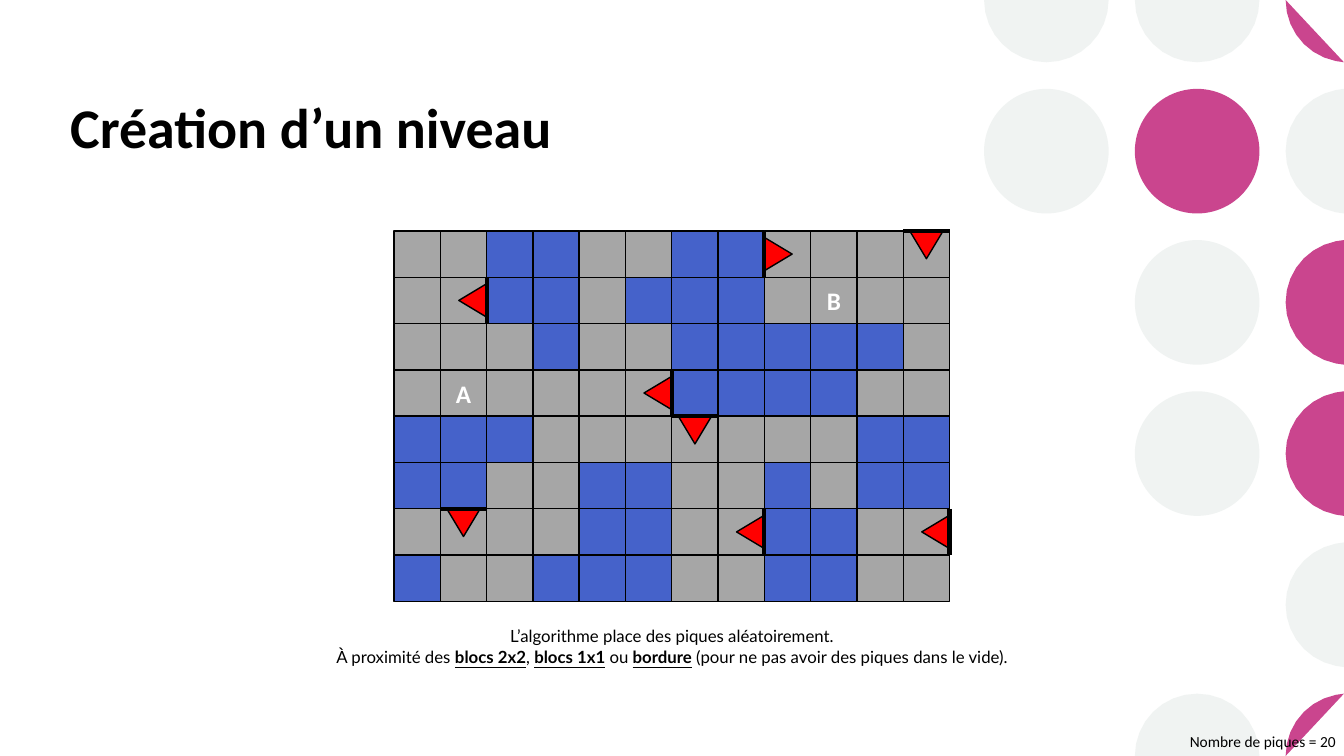
"""Builds the "Création d'un niveau" slide: a level grid with spikes."""
from dataclasses import dataclass
from math import cos, pi, sin

from lxml.etree import SubElement
from pptx import Presentation
from pptx.dml.color import RGBColor as RGB
from pptx.enum.shapes import MSO_CONNECTOR as LINE, MSO_SHAPE as SHAPE
from pptx.enum.text import MSO_ANCHOR as ANCHOR, PP_ALIGN as ALIGN
from pptx.oxml.ns import qn
from pptx.util import Cm, Pt

TITLE = [[("Création d’un niveau", True, False)]]
CAPTION = [
    [("L’algorithme place des piques aléatoirement.", False, False)],
    [
        ("À proximité des ", False, False),
        ("blocs 2x2", True, True),
        (", ", False, False),
        ("blocs 1x1", True, True),
        (" ", True, False),
        ("ou ", False, False),
        ("bordure", True, True),
        (" (pour ne pas avoir des piques dans le vide).", False, False),
    ],
]
COUNT = [[("Nombre de piques = 20", False, False)]]

LEVEL = [
    "..##..##....",
    "..##.###.B..",
    "...#..#####.",
    ".A....####..",
    "###.......##",
    "##..##..#.##",
    "....##..##..",
    "#..###..##..",
]
SPIKES = [
    (1, 1, "right"),
    (0, 8, "left"),
    (0, 11, "top"),
    (6, 1, "top"),
    (3, 5, "right"),
    (4, 6, "top"),
    (6, 7, "right"),
    (6, 11, "right"),
]
DOTS = ["ggp", "gpg", ".gp", ".gp", "..g", ".gp"]


@dataclass(frozen=True)
class Theme:
    """Colours, fonts and sizes of the slide."""
    black: RGB = RGB(0, 0, 0)
    white: RGB = RGB(255, 255, 255)
    free: RGB = RGB(0xA6, 0xA6, 0xA6)
    block: RGB = RGB(0x45, 0x62, 0xCA)
    spike: RGB = RGB(255, 0, 0)
    pale: RGB = RGB(0xF0, 0xF3, 0xF2)
    pink: RGB = RGB(0xCA, 0x45, 0x8E)
    font: str = "Calibri"
    caption_font: str = "Lato"
    title_size: int = 40
    label_size: int = 18
    caption_size: int = 12
    count_size: int = 11
    thin: int = 1
    thick: int = 3


T = Theme()
WIDTH, HEIGHT = 33.87, 19.05
GRID_LEFT, GRID_TOP, CELL = 9.93, 5.82, 14 / 12
SPIKE_BASE, SPIKE_DEPTH = 0.84, 0.7
DOT_X, DOT_STEP_X, DOT_STEP_Y, DOT_RADIUS = 26.37, 3.8, 3.81, 1.57
ARC_STEPS = 32
SIDES = {"top": (0, -1, 180), "left": (-1, 0, 90), "right": (1, 0, 270)}


def paint(sp, fill, line=None):
    sp.shadow.inherit = False
    sp.fill.solid()
    sp.fill.fore_color.rgb = fill
    if line is None:
        sp.line.fill.background()
    else:
        sp.line.color.rgb = line
        sp.line.width = Pt(T.thin)


def add_preset(s, kind, x, y, w, h, fill, line=None):
    sp = s.shapes.add_shape(kind, Cm(x), Cm(y), Cm(w), Cm(h))
    paint(sp, fill, line)
    return sp


def write(p, runs, font, size, color):
    for text, bold, underline in runs:
        r = p.add_run()
        r.text = text
        r.font.name, r.font.size, r.font.color.rgb = font, Pt(size), color
        r.font.bold, r.font.underline = bold, underline


def add_text(s, box, paragraphs, font, size, align, wrap=False, side=0.25, top=0.13):
    tf = s.shapes.add_textbox(*map(Cm, box)).text_frame
    tf.word_wrap = wrap
    tf.margin_left = tf.margin_right = Cm(side)
    tf.margin_top = Cm(top)
    for i, runs in enumerate(paragraphs):
        p = tf.add_paragraph() if i else tf.paragraphs[0]
        p.alignment = align
        write(p, runs, font, size, T.black)


def clipped_rim(cx, cy):
    angles = [2 * pi * i / ARC_STEPS for i in range(ARC_STEPS)]
    rim = [
        (Cm(min(cx + DOT_RADIUS * cos(a), WIDTH)),
         Cm(min(max(cy + DOT_RADIUS * sin(a), 0), HEIGHT)))
        for a in angles
    ]
    neighbours = zip(rim[-1:] + rim[:-1], rim, rim[1:] + rim[:1])
    return [b for a, b, c in neighbours
            if not (a[0] == b[0] == c[0] or a[1] == b[1] == c[1])]


def add_dot(s, cx, cy, fill):
    d = DOT_RADIUS
    if cx + d <= WIDTH and d <= cy <= HEIGHT - d:
        add_preset(s, SHAPE.OVAL, cx - d, cy - d, 2 * d, 2 * d, fill)
        return
    start, *others = clipped_rim(cx, cy)
    outline = s.shapes.build_freeform(*start)
    outline.add_line_segments(others, close=True)
    paint(outline.convert_to_shape(), fill)


def add_cell(s, row, col, mark):
    fill = T.block if mark == "#" else T.free
    x, y = GRID_LEFT + col * CELL, GRID_TOP + row * CELL
    sp = add_preset(s, SHAPE.RECTANGLE, x, y, CELL, CELL, fill, T.black)
    if mark.isalpha():
        tf = sp.text_frame
        tf.vertical_anchor = ANCHOR.MIDDLE
        p = tf.paragraphs[0]
        p.alignment = ALIGN.CENTER
        write(p, [(mark, True, False)], T.font, T.label_size, T.white)


def edge_middle(row, col, side):
    dx, dy, angle = SIDES[side]
    x = GRID_LEFT + (col + 0.5 + dx / 2) * CELL
    y = GRID_TOP + (row + 0.5 + dy / 2) * CELL
    return x, y, dx, dy, angle


def add_spike(s, row, col, side):
    x, y, dx, dy, angle = edge_middle(row, col, side)
    left = x - dx * SPIKE_DEPTH / 2 - SPIKE_BASE / 2
    top = y - dy * SPIKE_DEPTH / 2 - SPIKE_DEPTH / 2
    sp = add_preset(s, SHAPE.ISOSCELES_TRIANGLE, left, top,
                    SPIKE_BASE, SPIKE_DEPTH, T.spike, T.black)
    sp.rotation = angle


def add_edge(s, row, col, side):
    x, y, dx, dy, _ = edge_middle(row, col, side)
    hx, hy = abs(dy) * CELL / 2, abs(dx) * CELL / 2
    line = s.shapes.add_connector(
        LINE.STRAIGHT, Cm(x - hx), Cm(y - hy), Cm(x + hx), Cm(y + hy))
    line.line.color.rgb = T.black
    line.line.width = Pt(T.thick)
    SubElement(line._element.spPr, qn("a:effectLst"))


def main():
    prs = Presentation()
    prs.slide_width, prs.slide_height = Cm(WIDTH), Cm(HEIGHT)
    s = prs.slides.add_slide(prs.slide_layouts[6])
    for row, marks in enumerate(DOTS):
        for col, mark in enumerate(marks):
            if mark != ".":
                add_dot(s, DOT_X + col * DOT_STEP_X, row * DOT_STEP_Y,
                        T.pink if mark == "p" else T.pale)
    add_text(s, (1.57, 2.13, 20.37, 3.53), TITLE, T.font, T.title_size,
             ALIGN.LEFT, wrap=True, side=0.2, top=0.2)
    for row, marks in enumerate(LEVEL):
        for col, mark in enumerate(marks):
            add_cell(s, row, col, mark)
    add_text(s, (8.2, 15.65, 17.48, 1.27), CAPTION, T.caption_font,
             T.caption_size, ALIGN.CENTER)
    for spike in SPIKES:
        add_spike(s, *spike)
    for spike in SPIKES:
        add_edge(s, *spike)
    add_text(s, (29.13, 18.31, 4.74, 0.74), COUNT, T.font, T.count_size,
             ALIGN.RIGHT, side=0.2)
    prs.save("out.pptx")


if __name__ == "__main__":
    main()
